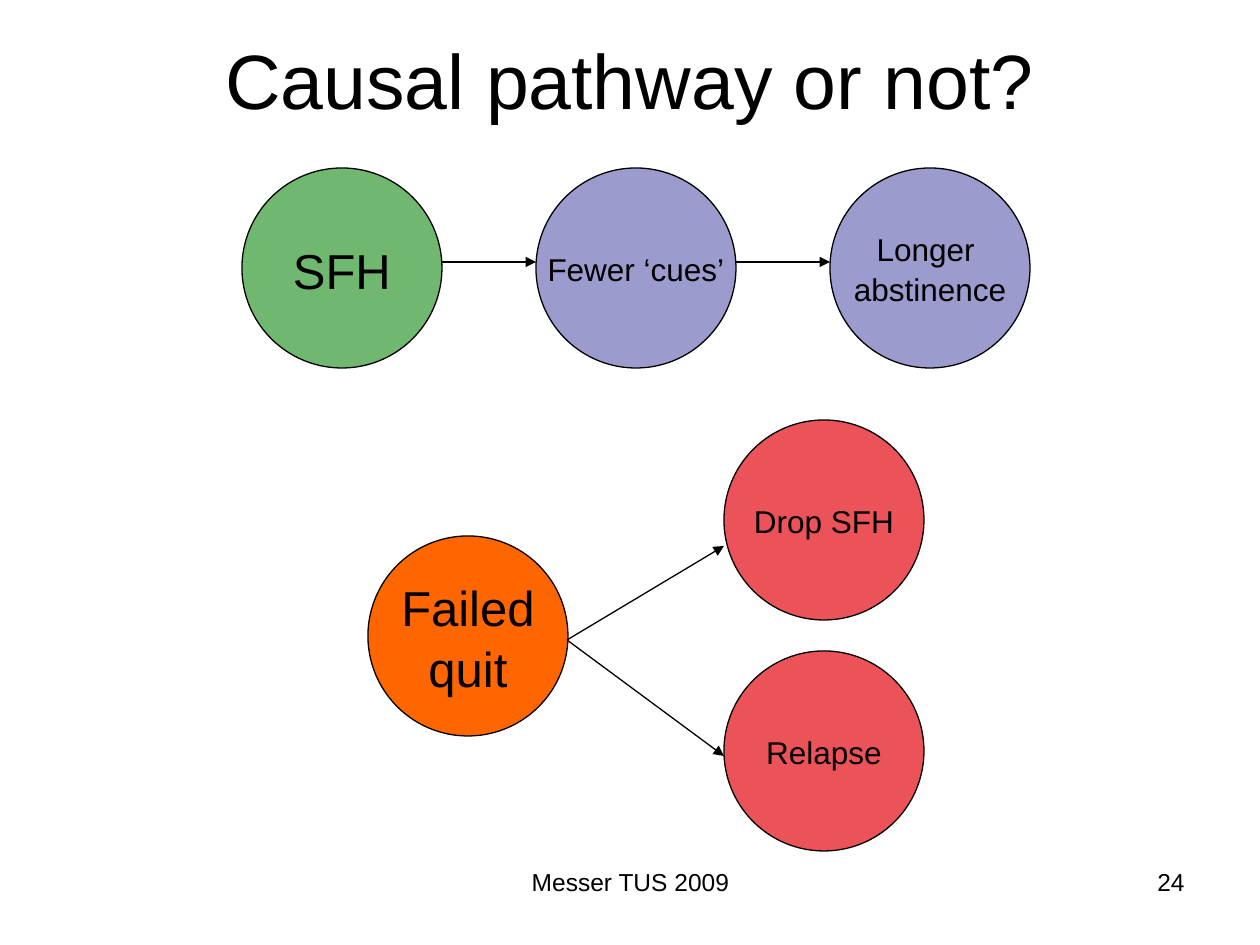
from typing import NamedTuple

from lxml.etree import SubElement
from pptx import Presentation
from pptx.dml.color import RGBColor
from pptx.enum.shapes import MSO_CONNECTOR as Connector, MSO_SHAPE as Preset
from pptx.enum.text import MSO_ANCHOR as Anchor, MSO_AUTO_SIZE as AutoSize, PP_ALIGN as Align
from pptx.oxml.ns import qn
from pptx.util import Emu, Pt

FONT = "Arial"
BLACK = RGBColor(0x00, 0x00, 0x00)
ORANGE = RGBColor(0xFF, 0x66, 0x00)
RED = RGBColor(0xE3, 0x02, 0x0A)
GREEN = RGBColor(0x00, 0x80, 0x00)
BLUE = RGBColor(0x33, 0x33, 0x99)

PX_PER_INCH = 126
DIAMETER = 200
TOP_ROW = 168
TOP_ARROW = 262
COLUMNS = [242 + 294 * step for step in range(3)]


class Circle(NamedTuple):
    left: int
    top: int
    paragraphs: list[str]
    size: int
    color: RGBColor
    opacity: int = 100


class Arrow(NamedTuple):
    start: tuple[int, int]
    end: tuple[int, int]


class Footer(NamedTuple):
    left: int
    width: int
    text: str
    align: Align


def px(length: int) -> Emu:
    return Emu(round(length * 914400 / PX_PER_INCH))


def write(paragraph, text: str, size: int, align: Align) -> None:
    """Add one run per line of the paragraph."""
    paragraph.alignment = align
    for index, line in enumerate(text.split("\n")):
        if index:
            paragraph.add_line_break()
        run = paragraph.add_run()
        run.text = line
        run.font.name = FONT
        run.font.size = Pt(size)
        run.font.color.rgb = BLACK


def draw_circle(shapes, circle: Circle) -> None:
    shape = shapes.add_shape(Preset.OVAL, px(circle.left), px(circle.top),
                             px(DIAMETER), px(DIAMETER))
    shape.shadow.inherit = False
    shape.fill.solid()
    shape.fill.fore_color.rgb = circle.color
    if circle.opacity < 100:
        color = shape.fill._xPr.find(".//" + qn("a:srgbClr"))
        SubElement(color, qn("a:alpha"), val=str(circle.opacity * 1000))
    shape.line.color.rgb = BLACK
    shape.line.width = Pt(0.75)
    frame = shape.text_frame
    frame.word_wrap = False
    frame.vertical_anchor = Anchor.MIDDLE
    for index, text in enumerate(circle.paragraphs):
        paragraph = frame.add_paragraph() if index else frame.paragraphs[0]
        paragraph.line_spacing = 1.05
        write(paragraph, text, circle.size, Align.CENTER)


def draw_arrow(shapes, arrow: Arrow) -> None:
    points = [px(value) for value in arrow.start + arrow.end]
    connector = shapes.add_connector(Connector.STRAIGHT, *points)
    connector.line.color.rgb = BLACK
    connector.line.width = Pt(0.75)
    SubElement(connector.line._get_or_add_ln(), qn("a:tailEnd"), type="triangle")
    SubElement(connector._element.spPr, qn("a:effectLst"))


def draw_diagram(slide, circles: list[Circle], arrows: list[Arrow]) -> None:
    group = slide.shapes.add_group_shape()
    for circle in circles:
        draw_circle(group.shapes, circle)
    for arrow in arrows:
        draw_arrow(group.shapes, arrow)


def draw_footer(slide, footer: Footer) -> None:
    box = slide.shapes.add_textbox(px(footer.left), px(861), px(footer.width), px(66))
    box.text_frame.word_wrap = True
    write(box.text_frame.paragraphs[0], footer.text, 14, footer.align)


FAILED_QUIT_CIRCLES = [
    Circle(368, 536, ["Failed", "quit"], 28, ORANGE),
    Circle(724, 420, ["Drop SFH"], 18, RED, 68),
    Circle(724, 651, ["Relapse"], 18, RED, 68),
]
FAILED_QUIT_ARROWS = [Arrow((567, 640), (724, end)) for end in (546, 756)]

PATHWAY_CIRCLES = [
    Circle(COLUMNS[0], TOP_ROW, ["SFH"], 28, GREEN, 56),
    Circle(COLUMNS[1], TOP_ROW, ["Fewer ‘cues’"], 18, BLUE, 49),
    Circle(COLUMNS[2], TOP_ROW, ["Longer \nabstinence"], 18, BLUE, 49),
]
PATHWAY_ARROWS = [Arrow((left + DIAMETER, TOP_ARROW), (right, TOP_ARROW))
                  for left, right in zip(COLUMNS, COLUMNS[1:])]

FOOTERS = [
    Footer(431, 399, "Messer TUS 2009", Align.CENTER),
    Footer(903, 294, "24", Align.RIGHT),
]


def main() -> None:
    presentation = Presentation()
    presentation.slide_width, presentation.slide_height = px(1260), px(945)
    slide = presentation.slides.add_slide(presentation.slide_layouts[5])

    # Title
    title = slide.shapes.title
    title.left, title.top, title.width, title.height = px(63), px(0), px(1134), px(158)
    title.text_frame.auto_size = AutoSize.NONE
    title.text_frame.vertical_anchor = Anchor.MIDDLE
    write(title.text_frame.paragraphs[0], "Causal pathway or not?", 44, Align.CENTER)

    # Diagrams
    draw_diagram(slide, FAILED_QUIT_CIRCLES, FAILED_QUIT_ARROWS)
    draw_diagram(slide, PATHWAY_CIRCLES, PATHWAY_ARROWS)

    # Footer and page number
    for footer in FOOTERS:
        draw_footer(slide, footer)

    presentation.save("out.pptx")


if __name__ == "__main__":
    main()
